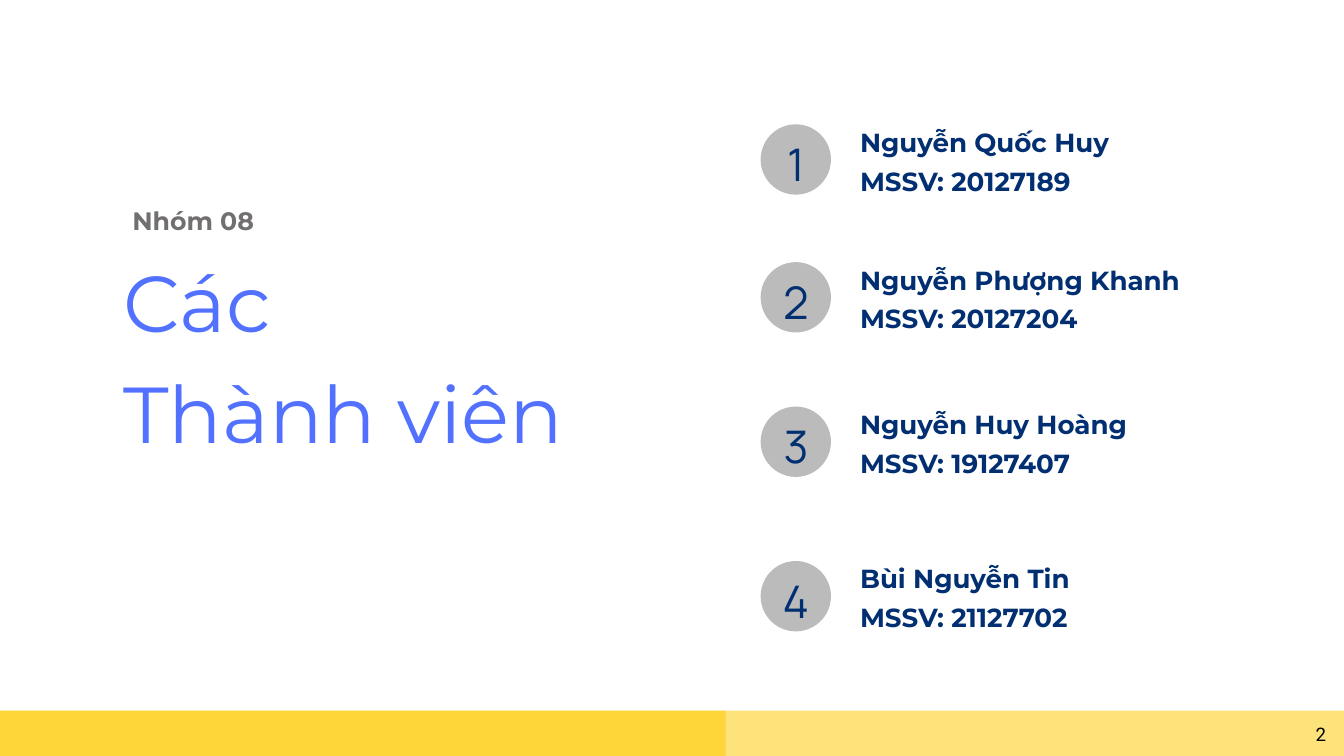
from dataclasses import dataclass

from lxml import etree
from pptx import Presentation
from pptx.dml.color import RGBColor
from pptx.enum.shapes import MSO_SHAPE
from pptx.enum.text import MSO_AUTO_SIZE, PP_ALIGN
from pptx.oxml.ns import qn
from pptx.util import Cm, Pt

RECT = MSO_SHAPE.RECTANGLE
OVAL = MSO_SHAPE.OVAL
LEFT = PP_ALIGN.LEFT
CENTER = PP_ALIGN.CENTER
GROW = MSO_AUTO_SIZE.SHAPE_TO_FIT_TEXT

WIDTH, HEIGHT = 50.8, 28.58
BAND_TOP = 26.87
NAVY = "012F71"


@dataclass
class Style:
    font: str
    size: float
    color: str
    spacing: float
    bold: bool = False
    align: PP_ALIGN = LEFT
    wrap: bool = True


@dataclass
class Member:
    name: str
    code: str
    top: float


TITLE = Style("Montserrat", 84.9, "5271FF", 118.8)
GROUP = Style("Montserrat", 27, "726F6F", 37.8, bold=True)
DETAIL = Style("Montserrat", 28, NAVY, 39.2, bold=True)
NUMBER = Style("Manrope", 48.1, NAVY, 67.4, align=CENTER)
PAGE = Style("Roboto", 20, "000000", 28, align=CENTER, wrap=False)

MEMBERS = [
    Member("Nguyễn Quốc Huy", "20127189", 4.57),
    Member("Nguyễn Phượng Khanh", "20127204", 9.78),
    Member("Nguyễn Huy Hoàng", "19127407", 15.24),
    Member("Bùi Nguyễn Tin", "21127702", 21.08),
]


def rgb(color: str) -> RGBColor:
    return RGBColor.from_string(color)


def add_filled(s, kind, x: float, y: float, w: float, h: float, color: str):
    sp = s.shapes.add_shape(kind, Cm(x), Cm(y), Cm(w), Cm(h))
    sp.shadow.inherit = False
    sp.fill.solid()
    sp.fill.fore_color.rgb = rgb(color)
    sp.line.fill.background()
    return sp


def add_band(s, width: float) -> None:
    sp = add_filled(s, RECT, 0, BAND_TOP, width, HEIGHT - BAND_TOP, "FECB00")
    clr = sp.fill._xPr.find(".//" + qn("a:srgbClr"))
    etree.SubElement(clr, qn("a:alpha"), val="52000")


def add_text(s, x: float, y: float, w: float, h: float,
             lines: list[str], style: Style) -> None:
    tf = s.shapes.add_textbox(Cm(x), Cm(y), Cm(w), Cm(h)).text_frame
    tf.margin_left = tf.margin_right = tf.margin_top = tf.margin_bottom = 0
    tf.word_wrap = style.wrap
    tf.auto_size = GROW
    tf.text = "\n".join(lines)
    for p in tf.paragraphs:
        p.alignment = style.align
        p.line_spacing = Pt(style.spacing)
        p.font.name = style.font
        p.font.size = Pt(style.size)
        p.font.bold = style.bold
        p.font.color.rgb = rgb(style.color)


def add_member(s, number: int, member: Member) -> None:
    top = member.top
    add_filled(s, OVAL, 28.75, top + 0.13, 2.66, 2.66, "BBBBBB")
    add_text(s, 28.93, top + 0.25, 2.31, 2.29, [str(number)], NUMBER)
    add_text(s, 32.51, top, 14.45, 1.32, [member.name], DETAIL)
    add_text(s, 32.51, top + 1.47, 11.2, 1.32, [f"MSSV: {member.code}"], DETAIL)


def main() -> None:
    prs = Presentation()
    prs.slide_width, prs.slide_height = Cm(WIDTH), Cm(HEIGHT)
    s = prs.slides.add_slide(prs.slide_layouts[6])
    for width in (WIDTH, 27.43):
        add_band(s, width)
    add_text(s, 4.67, 8.97, 21.46, 8.18, ["Các", "Thành viên"], TITLE)
    add_text(s, 5, 7.59, 12.17, 1.27, ["Nhóm 08"], GROUP)
    for number, member in enumerate(MEMBERS, 1):
        add_member(s, number, member)
    add_text(s, 49.71, 27.18, 0.43, 0.56, ["2"], PAGE)
    prs.save("out.pptx")


if __name__ == "__main__":
    main()
